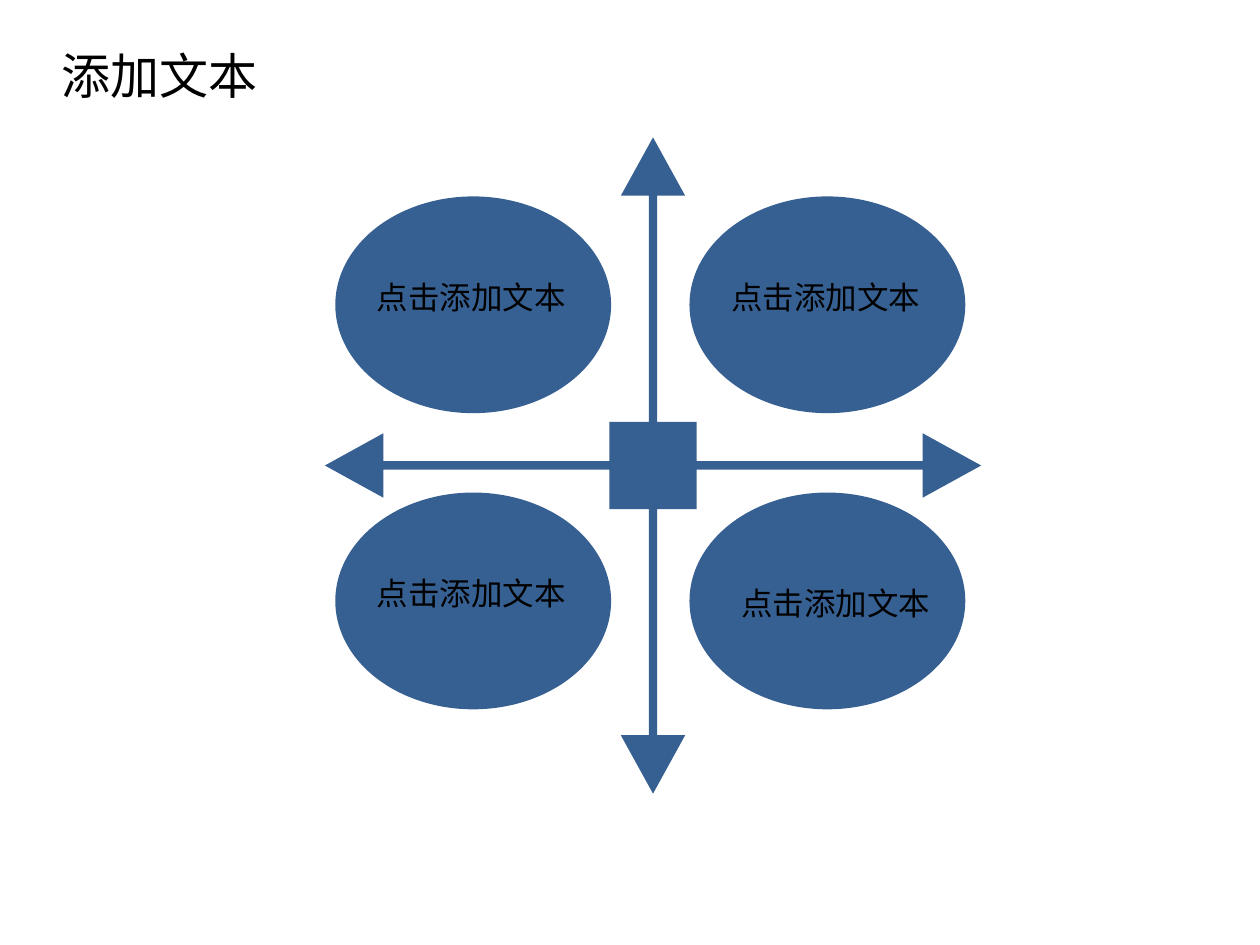
import pptx
import pptx.util
import pptx.dml.color
import pptx.enum.shapes
import pptx.enum.text
import pptx.oxml.ns
import lxml.etree

Cm = pptx.util.Cm
MSO = pptx.enum.shapes.MSO_SHAPE
BLUE = pptx.dml.color.RGBColor(0x37, 0x60, 0x92)
BLACK = pptx.dml.color.RGBColor(0, 0, 0)
FONT = "Noto Sans CJK SC"

TITLE = "添加文本"
QUADRANTS = [
    {"col": 0, "row": 0, "text": "点击添加文本", "nudge": 0},
    {"col": 1, "row": 0, "text": "点击添加文本", "nudge": 0},
    {"col": 0, "row": 1, "text": "点击添加文本", "nudge": 0},
    {"col": 1, "row": 1, "text": "点击添加文本", "nudge": 0.2},
]
ARROW_ADJUSTMENTS = (0.013, 0.049, 0.089, 0.133)

OVAL_LEFT, OVAL_TOP = 6.76, 3.96
OVAL_W, OVAL_H = 5.56, 4.37
STEP_X, STEP_Y = 7.14, 5.97
LABEL_W, LABEL_H = 4.37, 1.02
LABEL_DX, LABEL_DY = 0.59, 1.52


def add_solid(s, kind, x, y, w, h):
    sp = s.shapes.add_shape(kind, Cm(x), Cm(y), Cm(w), Cm(h))
    sp.shadow.inherit = False
    sp.fill.solid()
    sp.fill.fore_color.rgb = BLUE
    sp.line.fill.background()
    return sp


def add_label(s, text, x, y, w, h, size):
    tf = s.shapes.add_textbox(Cm(x), Cm(y), Cm(w), Cm(h)).text_frame
    tf.word_wrap = False
    tf.auto_size = pptx.enum.text.MSO_AUTO_SIZE.SHAPE_TO_FIT_TEXT
    tf.text = text
    r = tf.paragraphs[0].runs[0]
    r.font.size = pptx.util.Pt(size)
    r.font.name = FONT
    r.font.color.rgb = BLACK
    ea = lxml.etree.SubElement(r.font._element, pptx.oxml.ns.qn("a:ea"))
    ea.set("typeface", FONT)


def main():
    prs = pptx.Presentation()
    prs.slide_width, prs.slide_height = Cm(25.4), Cm(19.05)
    s = prs.slides.add_slide(prs.slide_layouts[6])

    add_label(s, TITLE, 0.99, 0.79, 4.5, 1.45, 28)
    for q in QUADRANTS:
        x = OVAL_LEFT + q["col"] * STEP_X
        y = OVAL_TOP + q["row"] * STEP_Y
        add_solid(s, MSO.OVAL, x, y, OVAL_W, OVAL_H)
        add_label(s, q["text"], x + LABEL_DX + q["nudge"],
                  y + LABEL_DY + q["nudge"], LABEL_W, LABEL_H, 18)

    arrows = add_solid(s, MSO.QUAD_ARROW_CALLOUT, 6.55, 2.77, 13.23, 13.23)
    for i, value in enumerate(ARROW_ADJUSTMENTS):
        arrows.adjustments[i] = value

    prs.save("out.pptx")


if __name__ == "__main__":
    main()
